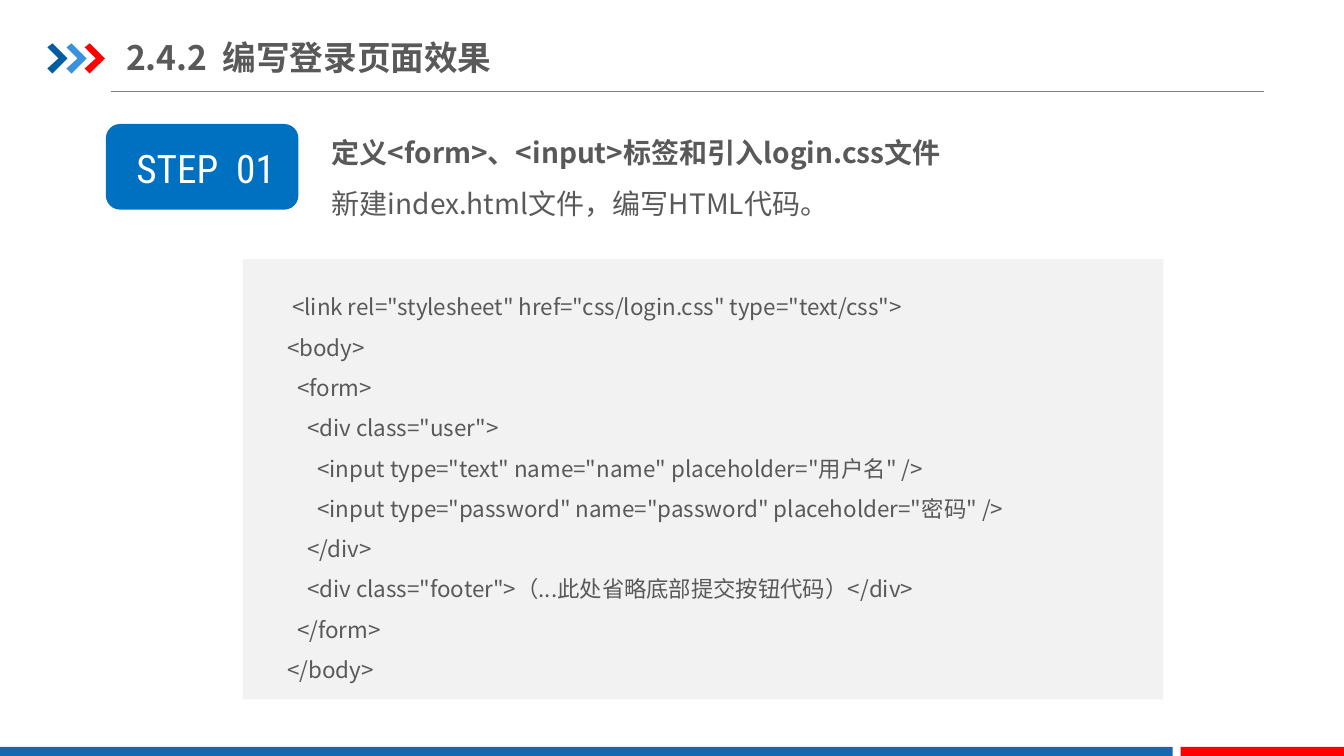
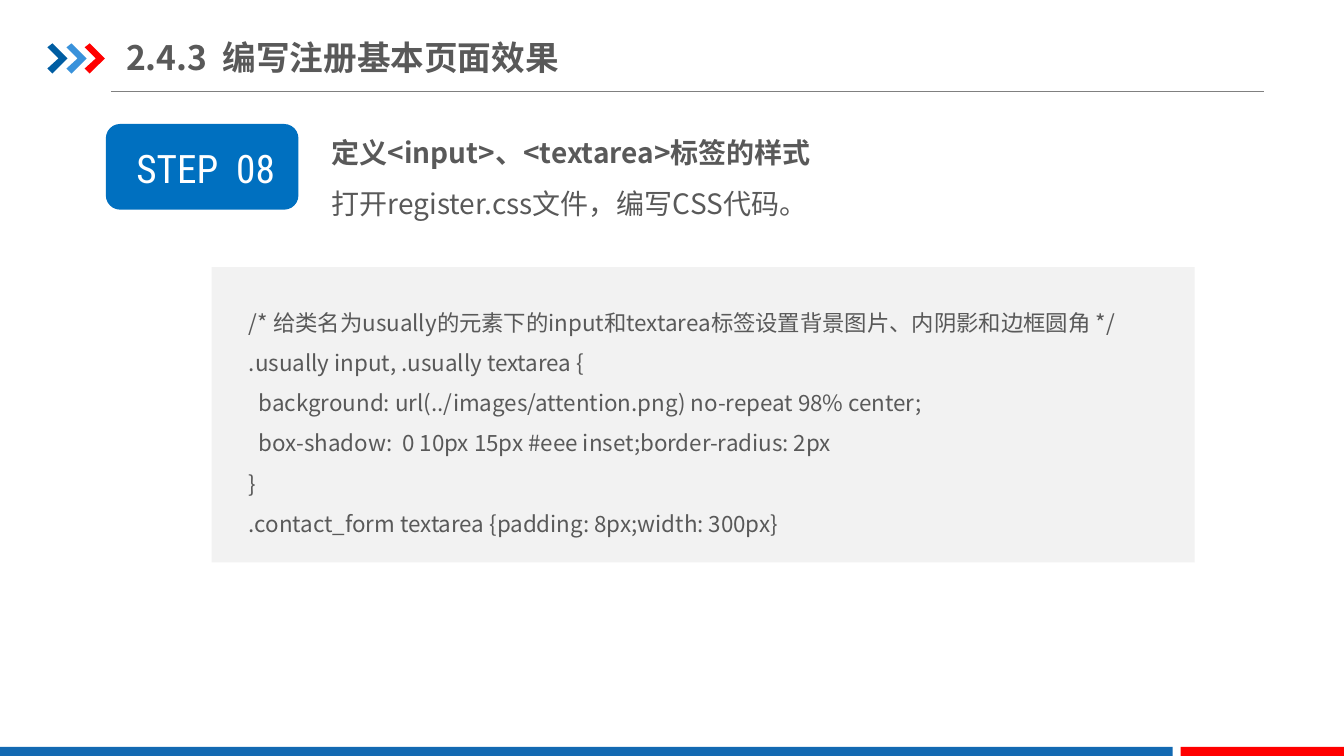
"""Build two lesson slides that walk through a step and its code."""
import dataclasses
import typing

import pptx
import pptx.dml.color
import pptx.enum.shapes
import pptx.enum.text
import pptx.oxml.ns
import pptx.oxml.xmlchemy
import pptx.util
from lxml import etree

RGBColor = pptx.dml.color.RGBColor
Shapes = pptx.enum.shapes.MSO_SHAPE
Align = pptx.enum.text.PP_ALIGN

NAVY = RGBColor(0x00, 0x5D, 0xA2)
SKY = RGBColor(0x39, 0x92, 0xDB)
RED = RGBColor(0xFF, 0x00, 0x00)
FOOTER_BLUE = RGBColor(0x13, 0x69, 0xB2)
STEP_BLUE = RGBColor(0x00, 0x70, 0xC0)
RULE_GRAY = RGBColor(0x80, 0x80, 0x80)
PANEL_GRAY = RGBColor(0xF2, 0xF2, 0xF2)
TEXT_GRAY = RGBColor(0x59, 0x59, 0x59)
WHITE = RGBColor(0xFF, 0xFF, 0xFF)

TEXT_FONT = "Noto Sans CJK SC"
STEP_FONT = "Roboto Condensed"
EMU_PER_PX = 9144
PAGE_WIDTH, PAGE_HEIGHT = 1333, 750
CHEVRON_TOP = 43
CHEVRON = ((0, 4), (5, 0), (20, 15), (5, 30), (0, 25), (11, 15))


class Area(typing.NamedTuple):
    """A rectangle in px."""
    left: int
    top: int
    width: int
    height: int

    def emu(self) -> list[int]:
        """Return the four lengths in EMU."""
        return [value * EMU_PER_PX for value in self]


class TextStyle(typing.NamedTuple):
    """The look of a run and the spacing of its lines."""
    size: int
    font: str = TEXT_FONT
    color: RGBColor = TEXT_GRAY
    bold: bool = False
    spacing: float = 1.0


TITLE_STYLE = TextStyle(24, bold=True)
STEP_STYLE = TextStyle(28, font=STEP_FONT, color=WHITE)
GOAL_STYLE = TextStyle(20, bold=True, spacing=1.5)
TASK_STYLE = TextStyle(20, spacing=1.5)
CODE_STYLE = TextStyle(16, spacing=1.5)

TITLE_AREA = Area(125, 29, 549, 55)
BADGE_AREA = Area(105, 123, 191, 85)
STEP_AREA = Area(115, 138, 178, 57)
INTRO_AREA = Area(319, 113, 852, 105)
FOOTER_BANDS = ((Area(0, 741, 1163, 9), FOOTER_BLUE), (Area(1171, 741, 162, 9), RED))
CHEVRONS = ((47, NAVY), (66, SKY), (84, RED))


@dataclasses.dataclass(frozen=True)
class Lesson:
    """The content of one slide."""
    title: str
    step: str
    goal: str
    task: str
    panel: Area
    code_area: Area
    code: str


LESSONS = (
    Lesson(
        "2.4.2  编写登录页面效果",
        "STEP  01",
        "定义<form>、<input>标签和引入login.css文件",
        "新建index.html文件，编写HTML代码。",
        Area(241, 257, 913, 437),
        Area(275, 273, 859, 414),
        """\
 <link rel="stylesheet" href="css/login.css" type="text/css">
<body>
  <form>
    <div class="user">
      <input type="text" name="name" placeholder="用户名" />
      <input type="password" name="password" placeholder="密码" />
    </div>
    <div class="footer">（...此处省略底部提交按钮代码）</div>
  </form>
</body>""",
    ),
    Lesson(
        "2.4.3  编写注册基本页面效果",
        "STEP  08",
        "定义<input>、<textarea>标签的样式",
        "打开register.css文件，编写CSS代码。",
        Area(210, 265, 975, 293),
        Area(237, 288, 948, 252),
        """\
/* 给类名为usually的元素下的input和textarea标签设置背景图片、内阴影和边框圆角 */
.usually input, .usually textarea {
  background: url(../images/attention.png) no-repeat 98% center;
  box-shadow:  0 10px 15px #eee inset;border-radius: 2px
}
.contact_form textarea {padding: 8px;width: 300px}""",
    ),
)


def paint(shape, color: RGBColor) -> None:
    """Give a shape a flat fill without line or shadow."""
    shape.shadow.inherit = False
    shape.fill.solid()
    shape.fill.fore_color.rgb = color
    shape.line.fill.background()


def add_block(page, area: Area, color: RGBColor, kind=Shapes.RECTANGLE) -> None:
    """Add a flat preset shape."""
    paint(page.shapes.add_shape(kind, *area.emu()), color)


def write(box, lines: list[tuple[str, TextStyle]], align=Align.LEFT) -> None:
    """Write one styled paragraph for each line."""
    frame = box.text_frame
    frame.word_wrap = True
    frame.auto_size = pptx.enum.text.MSO_AUTO_SIZE.NONE
    for index, (text, style) in enumerate(lines):
        para = frame.add_paragraph() if index else frame.paragraphs[0]
        para.alignment = align
        para.line_spacing = style.spacing
        para.space_before = pptx.util.Pt(0)
        span = para.add_run()
        span.text = text
        span.font.size = pptx.util.Pt(style.size)
        span.font.bold = style.bold
        span.font.color.rgb = style.color
        span.font.name = style.font
        east_asian = etree.SubElement(span._r.get_or_add_rPr(), pptx.oxml.ns.qn("a:ea"))
        east_asian.set("typeface", style.font)


def add_text(page, area: Area, lines: list[tuple[str, TextStyle]], align=Align.LEFT) -> None:
    """Add a text box."""
    write(page.shapes.add_textbox(*area.emu()), lines, align)


def place(box, area: Area) -> None:
    """Move a placeholder to an area."""
    box.left, box.top, box.width, box.height = area.emu()


def add_frame(page) -> None:
    """Draw the header rule, chevrons and footer bands."""
    ends = [value * EMU_PER_PX for value in (110, 91, 1254, 91)]
    rule = page.shapes.add_connector(pptx.enum.shapes.MSO_CONNECTOR.STRAIGHT, *ends)
    rule.line.color.rgb = RULE_GRAY
    rule.line.width = pptx.util.Pt(0.75)
    etree.SubElement(rule.element.spPr, pptx.oxml.ns.qn("a:effectLst"))
    for left, color in CHEVRONS:
        points = [(left + x, CHEVRON_TOP + y) for x, y in CHEVRON]
        outline = page.shapes.build_freeform(*points[0], scale=EMU_PER_PX)
        outline.add_line_segments(points[1:], close=True)
        paint(outline.convert_to_shape(), color)
    for area, color in FOOTER_BANDS:
        add_block(page, area, color)


def add_title(page, text: str) -> None:
    """Fill the title placeholder."""
    box = page.shapes.title
    place(box, TITLE_AREA)
    frame = box.text_frame
    frame.margin_left = frame.margin_right = 0
    frame.margin_top = frame.margin_bottom = 7 * EMU_PER_PX
    frame.vertical_anchor = pptx.enum.text.MSO_ANCHOR.MIDDLE
    write(box, [(text, TITLE_STYLE)])


def add_intro(page, lesson: Lesson) -> None:
    """Fill the body placeholder with the goal and task, without bullets."""
    box = page.placeholders[1]
    place(box, INTRO_AREA)
    write(box, [(lesson.goal, GOAL_STYLE), (lesson.task, TASK_STYLE)])
    for properties in box.element.iter(pptx.oxml.ns.qn("a:pPr")):
        properties.set("marL", "0")
        properties.set("indent", "0")
        etree.SubElement(properties, pptx.oxml.ns.qn("a:buNone"))


def add_lesson(deck, lesson: Lesson) -> None:
    """Build one slide."""
    page = deck.slides.add_slide(deck.slide_layouts[1])
    add_frame(page)
    add_title(page, lesson.title)
    add_block(page, BADGE_AREA, STEP_BLUE, Shapes.ROUNDED_RECTANGLE)
    add_text(page, STEP_AREA, [(lesson.step, STEP_STYLE)], Align.CENTER)
    add_intro(page, lesson)
    add_block(page, lesson.panel, PANEL_GRAY)
    add_text(page, lesson.code_area, [(line, CODE_STYLE) for line in lesson.code.splitlines()])


def main() -> None:
    """Build and save the deck."""
    deck = pptx.Presentation()
    deck.slide_width = PAGE_WIDTH * EMU_PER_PX
    deck.slide_height = PAGE_HEIGHT * EMU_PER_PX
    for lesson in LESSONS:
        add_lesson(deck, lesson)
    deck.save("out.pptx")


if __name__ == "__main__":
    main()
